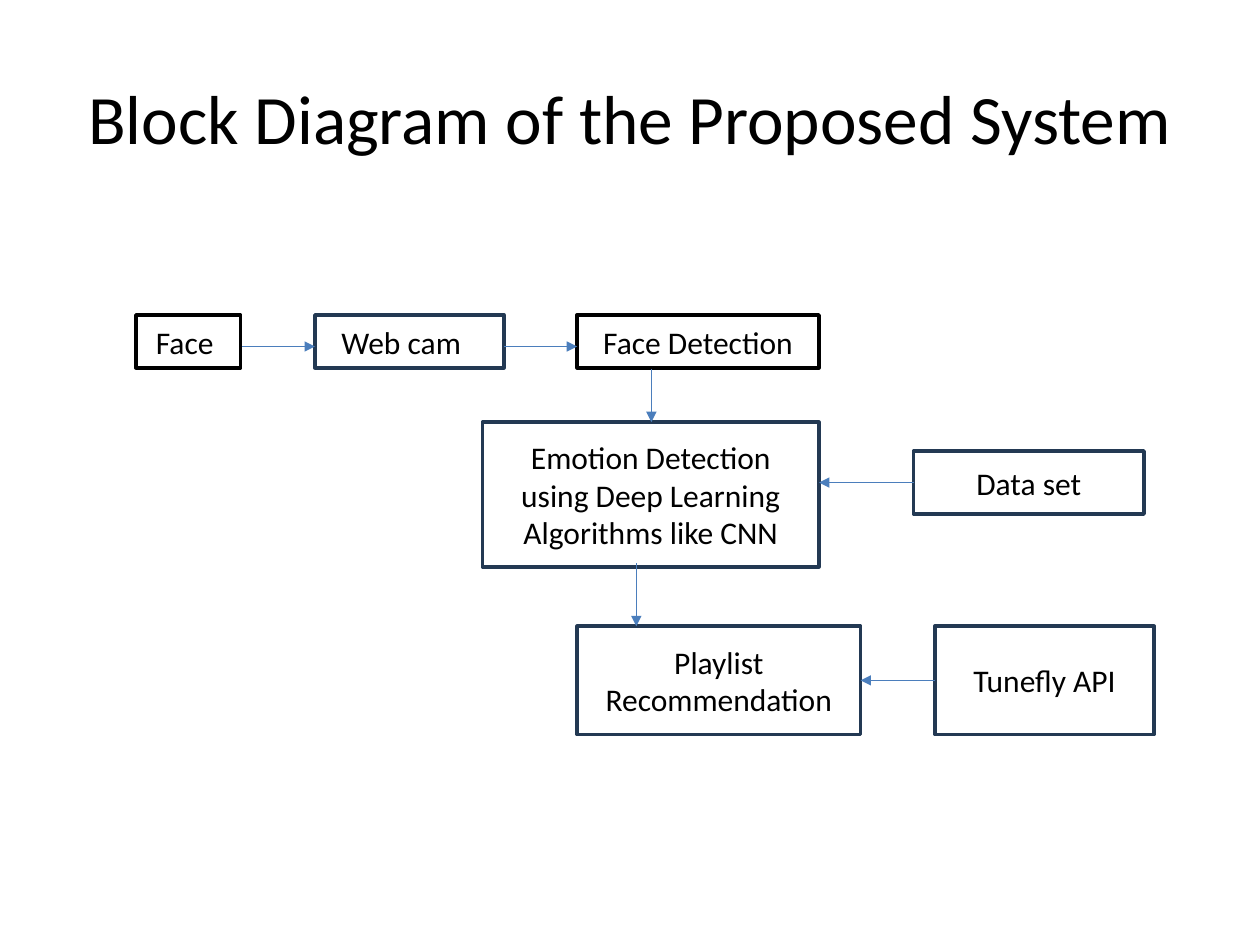
import pptx
import pptx.dml.color
import pptx.enum.shapes
import pptx.enum.text
import pptx.oxml.ns
import pptx.util
from lxml import etree
from pptx.util import Inches

BLACK, WHITE, NAVY, BLUE = "000000", "FFFFFF", "233953", "4B7EBC"
LEFT, RIGHT = 1, 3  # connection sites of a rectangle


def color(hex_string):
    return pptx.dml.color.RGBColor.from_string(hex_string)


class DiagramSlide:
    font = "Calibri"
    title_size = 39.6
    label_size = 18
    box_line = 2
    arrow_line = 0.75

    def __init__(self, slide):
        self.slide = slide

    def label(self, shape, text, size):
        frame = shape.text_frame
        frame.word_wrap = True
        frame.vertical_anchor = pptx.enum.text.MSO_ANCHOR.MIDDLE
        frame.text = text
        paragraph = frame.paragraphs[0]
        paragraph.alignment = pptx.enum.text.PP_ALIGN.CENTER
        for run in paragraph.runs:
            run.font.name = self.font
            run.font.size = pptx.util.Pt(size)
            run.font.color.rgb = color(BLACK)

    def title(self, text, left, top, width, height):
        shape = self.slide.shapes.add_textbox(*map(Inches, (left, top, width, height)))
        self.label(shape, text, self.title_size)

    def box(self, text, left, top, width, height, outline=NAVY):
        shape = self.slide.shapes.add_shape(
            pptx.enum.shapes.MSO_SHAPE.RECTANGLE,
            *map(Inches, (left, top, width, height)))
        shape.shadow.inherit = False
        shape.fill.solid()
        shape.fill.fore_color.rgb = color(WHITE)
        shape.line.color.rgb = color(outline)
        shape.line.width = pptx.util.Pt(self.box_line)
        self.label(shape, text, self.label_size)
        return shape

    def arrow(self, x1, y1, x2, y2):
        connector = self.slide.shapes.add_connector(
            pptx.enum.shapes.MSO_CONNECTOR.STRAIGHT,
            *map(Inches, (x1, y1, x2, y2)))
        connector.line.color.rgb = color(BLUE)
        connector.line.width = pptx.util.Pt(self.arrow_line)
        # Arrowhead at the end, and no theme shadow
        qn = pptx.oxml.ns.qn
        properties = connector._element.spPr
        etree.SubElement(properties.find(qn("a:ln")), qn("a:tailEnd"), type="triangle")
        etree.SubElement(properties, qn("a:effectLst"))
        return connector


def main():
    presentation = pptx.Presentation()
    presentation.slide_width = Inches(10)
    presentation.slide_height = Inches(7.5)
    diagram = DiagramSlide(presentation.slides.add_slide(presentation.slide_layouts[6]))

    # Title
    diagram.title("Block Diagram of the Proposed System", 0.5, 0.3, 9, 1.25)

    # Capture row
    row_top, row_height = 2.5, 0.42
    diagram.box("Face ", 1.08, row_top, 0.83, row_height, BLACK)
    web_cam = diagram.box("Web cam", 2.5, row_top, 1.5, row_height)
    web_cam.text_frame.margin_right = Inches(0.23)
    diagram.box("Face Detection", 4.58, row_top, 1.92, row_height, BLACK)

    # Emotion detection and its data
    diagram.box("Emotion Detection using Deep Learning Algorithms like CNN",
                3.83, 3.35, 2.67, 1.15)
    data_set = diagram.box("Data set", 7.25, 3.58, 1.83, 0.5)

    # Recommendation and its music service
    playlist = diagram.box("Playlist Recommendation", 4.58, 4.97, 2.25, 0.86)
    music_service = diagram.box("Tunefly API", 7.42, 4.97, 1.74, 0.86)

    # Flow between the blocks
    diagram.arrow(1.92, 2.75, 2.5, 2.75)
    diagram.arrow(4, 2.75, 4.58, 2.75)
    diagram.arrow(5.17, 2.93, 5.17, 3.35)
    diagram.arrow(5.05, 4.47, 5.05, 4.97)
    data_arrow = diagram.arrow(7.25, 3.83, 6.5, 3.83)
    data_arrow.begin_connect(data_set, LEFT)
    service_arrow = diagram.arrow(7.42, 5.4, 6.83, 5.4)
    service_arrow.begin_connect(music_service, LEFT)
    service_arrow.end_connect(playlist, RIGHT)

    presentation.save("out.pptx")


if __name__ == "__main__":
    main()
